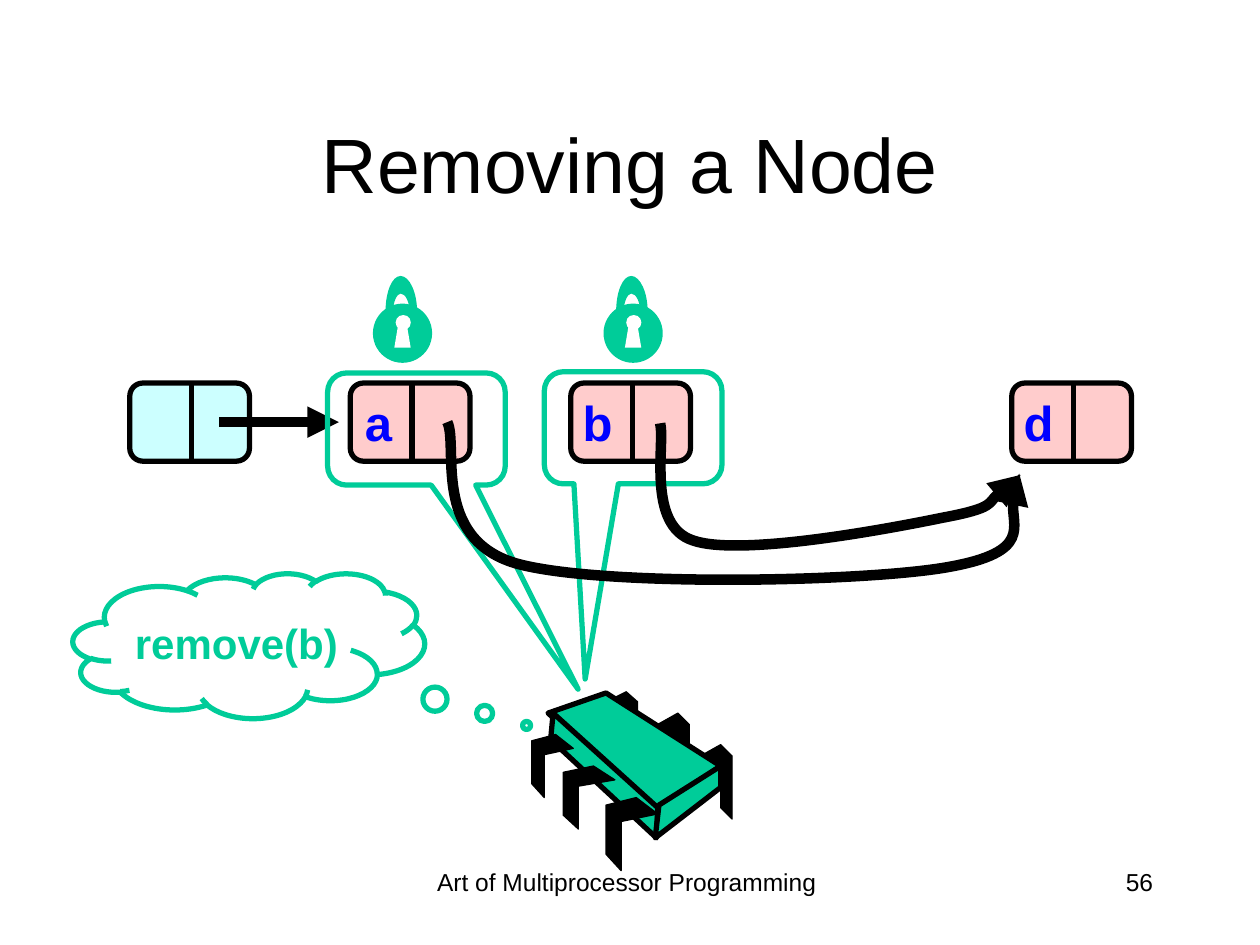
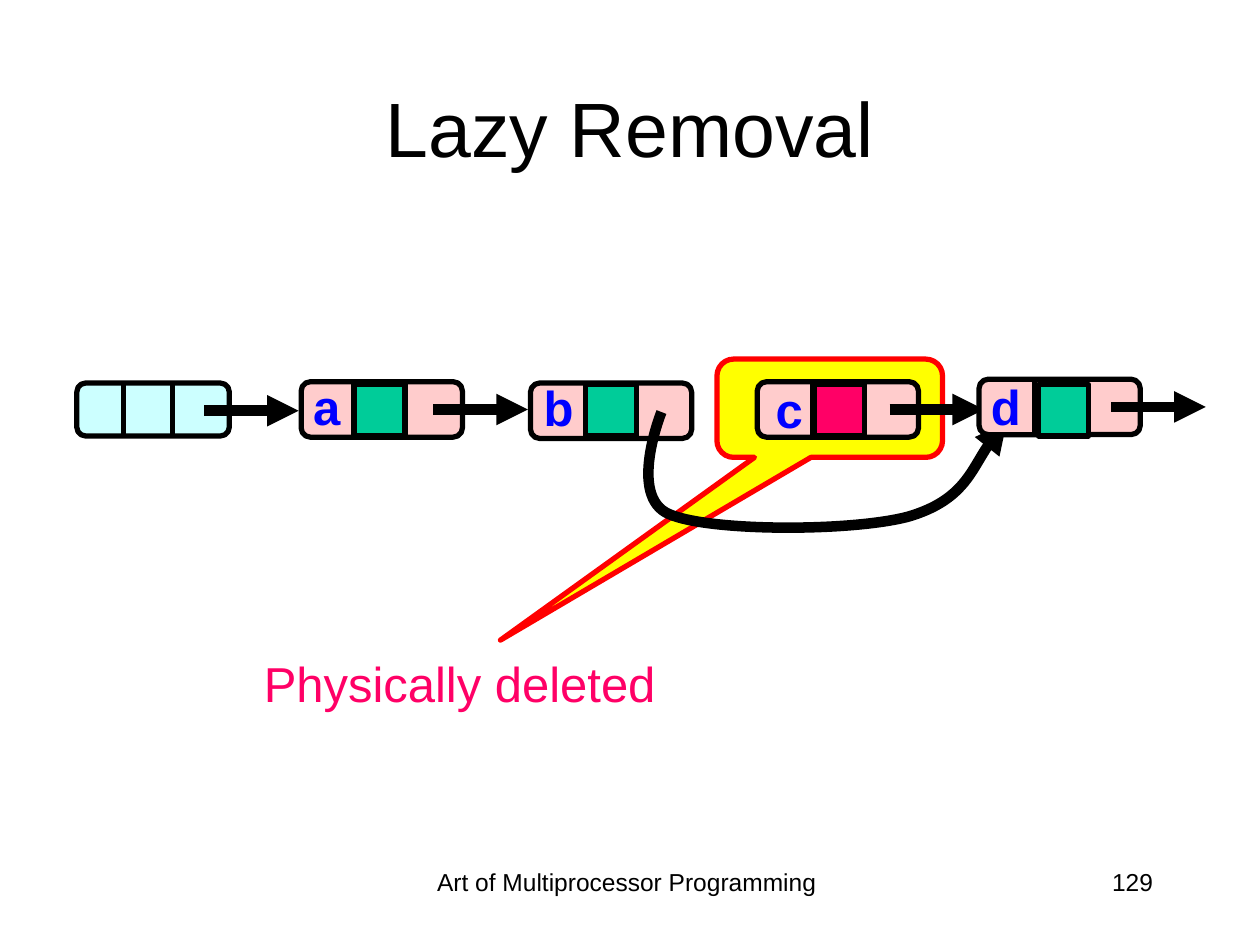
import lxml.etree
import pptx
import pptx.dml.color
import pptx.enum.shapes
import pptx.enum.text
import pptx.oxml.ns
import pptx.util

PX = 9144  # EMU in one px, 100 px to the inch
BLACK, WHITE, BLUE, PINK, CYAN = "000000", "FFFFFF", "0000FF", "FFCCCC", "CCFFFF"
GREEN, YELLOW, RED, MAGENTA = "00CC99", "FFFF00", "FF0000", "FF0066"

SHAPE = pptx.enum.shapes.MSO_SHAPE
STRAIGHT = pptx.enum.shapes.MSO_CONNECTOR.STRAIGHT
ALIGN = pptx.enum.text.PP_ALIGN
qn = pptx.oxml.ns.qn

TITLE = {"size": 44, "alignment": ALIGN.CENTER, "wrap": True}
FOOTER = {"size": 14, "alignment": ALIGN.CENTER, "wrap": True}
NUMBER = {**FOOTER, "alignment": ALIGN.RIGHT}
LABEL = {"size": 28, "color": BLUE, "bold": True, "alignment": ALIGN.RIGHT}
CAPTION = {"size": 28, "color": MAGENTA, "alignment": ALIGN.RIGHT}
THOUGHT = {"size": 24, "color": GREEN, "bold": True, "alignment": ALIGN.CENTER, "wrap": True}


def style(shape, fill=None, line=None, width=3, arrow=False, text=None, text_format=None):
    """Set fill, line, arrowhead and text; without a colour a part stays empty."""
    parts = [(shape.line.fill, line)]
    if hasattr(shape, "fill"):
        parts.append((shape.fill, fill))
    for part, color in parts:
        if color:
            part.solid()
            part.fore_color.rgb = pptx.dml.color.RGBColor.from_string(color)
        else:
            part.background()
    properties = shape._element.spPr
    if line:
        shape.line.width = pptx.util.Pt(width)
    if arrow:
        lxml.etree.SubElement(properties.find(qn("a:ln")), qn("a:tailEnd"), type="triangle")
    for effect in properties.findall(qn("a:effectLst")):
        properties.remove(effect)
    lxml.etree.SubElement(properties, qn("a:effectLst"))

    if text:
        values = {"color": BLACK, "bold": False, "wrap": False, **text_format}
        frame = shape.text_frame
        frame.text = text
        frame.word_wrap = values["wrap"]
        frame.auto_size = pptx.enum.text.MSO_AUTO_SIZE.NONE
        paragraph = frame.paragraphs[0]
        paragraph.alignment = values["alignment"]
        font = paragraph.runs[0].font
        font.color.rgb = pptx.dml.color.RGBColor.from_string(values["color"])
        for name, value in {"name": "Arial", "size": pptx.util.Pt(values["size"]),
                            "bold": values["bold"]}.items():
            setattr(font, name, value)


def draw_outline(shapes, points, curved=False, closed=True, **look):
    """Draw a polygon, or Bezier curves with three points for each segment."""
    builder = shapes.build_freeform(*points[0], scale=PX)
    builder.add_line_segments(points[1:], close=closed)
    shape = builder.convert_to_shape()
    if curved:
        segments = list(shape._element.iter(qn("a:lnTo")))
        for start in range(0, len(segments), 3):
            curve = lxml.etree.Element(qn("a:cubicBezTo"))
            segments[start].addprevious(curve)
            for segment in segments[start:start + 3]:
                curve.append(segment[0])
                segment.getparent().remove(segment)
    style(shape, **look)


presentation = pptx.Presentation()
presentation.slide_width, presentation.slide_height = 1000 * PX, 750 * PX

# Title and footer on both slides
slides = []
for title, title_top, number in [("Removing a Node", 67, "56"), ("Lazy Removal", 38, "129")]:
    slide = presentation.slides.add_slide(presentation.slide_layouts[5])
    heading = slide.shapes.title
    for name, value in {"left": 75, "top": title_top, "width": 850, "height": 125}.items():
        setattr(heading, name, value * PX)
    style(heading, text=title, text_format=TITLE)
    heading.text_frame.vertical_anchor = pptx.enum.text.MSO_ANCHOR.MIDDLE
    for left, width, text, text_format in [
        (310, 375, "Art of Multiprocessor Programming", FOOTER),
        (717, 208, number, NUMBER),
    ]:
        box = slide.shapes.add_textbox(left * PX, 683 * PX, width * PX, 50 * PX)
        style(box, text=text, text_format=text_format)
    slides.append(slide)

# Removing a Node: list nodes with one divider
shapes = slides[0].shapes
for left, label, fill in [(103, None, CYAN), (278, "a", PINK), (453, "b", PINK), (803, "d", PINK)]:
    node = shapes.add_shape(SHAPE.ROUNDED_RECTANGLE, left * PX, 304 * PX, 95 * PX, 62 * PX)
    style(node, fill, BLACK)
    middle = (left + 49) * PX
    style(shapes.add_connector(STRAIGHT, middle, 303 * PX, middle, 367 * PX), line=BLACK)
    if label:
        box = shapes.add_textbox((left - 1) * PX, 307 * PX, 44 * PX, 57 * PX)
        style(box, text=label, text_format=LABEL)
head_arrow = shapes.add_connector(STRAIGHT, 174 * PX, 335 * PX, 269 * PX, 335 * PX)
style(head_arrow, line=BLACK, width=6, arrow=True)

# Chip: back legs, body faces, front legs
chip = shapes.add_group_shape().shapes
back_leg = [(0, 0), (16, -9), (25, 0), (25, 50), (16, 41), (16, 8), (0, 16)]
front_leg = [(24, 0), (41, 13), (12, 19), (12, 58), (0, 45), (0, 6)]
faces = [
    [(481, 550), (572, 608), (521, 643), (435, 566)],
    [(439, 566), (522, 641), (521, 665), (437, 587)],
    [(572, 608), (572, 625), (520, 665), (523, 639)],
]
back_legs = [(556, 600, 1, 1), (522, 575, 1, 1), (481, 557, 1, 0.86)]
front_legs = [(481, 633, 1, 1), (447, 608, 1, 0.86), (422, 583, 0.8, 0.86)]
for leg, places in [(back_leg, back_legs), (front_leg, front_legs)]:
    for left, top, stretch_x, stretch_y in places:
        points = [(round(left + x * stretch_x), round(top + y * stretch_y)) for x, y in leg]
        draw_outline(chip, points, fill=BLACK, line=BLACK, width=0.75)
    if leg is back_leg:
        for face in faces:
            draw_outline(chip, face, fill=GREEN, line=BLACK)

# Callouts from the chip to the locked nodes, and its thought
for kind, left, top, width, height, adjustments, text in [
    (SHAPE.ROUNDED_RECTANGULAR_CALLOUT, 260, 296, 141, 89, (0.91, 2.32, 0.17), None),
    (SHAPE.ROUNDED_RECTANGULAR_CALLOUT, 432, 295, 141, 89, (-0.27, 2.24, 0.17), None),
    (SHAPE.CLOUD_CALLOUT, 58, 455, 279, 115, (0.79, 0.55), "remove(b)"),
]:
    callout = shapes.add_shape(kind, left * PX, top * PX, width * PX, height * PX)
    for index, value in enumerate(adjustments):
        callout.adjustments[index] = value
    style(callout, line=GREEN, text=text, text_format=THOUGHT)

# Padlocks
keyhole = [(313, 276), (316, 258), (323, 258), (326, 276)]
shackle = [(312, 247), (312, 240), (315, 233), (318, 233), (322, 233), (325, 240), (325, 247),
           (325, 247), (331, 247), (331, 247), (331, 232), (325, 219), (318, 219),
           (311, 219), (306, 232), (306, 247)]
for shift in (0, 183):
    lock = shapes.add_group_shape().shapes
    for left, top, size, fill in [(296, 241, 47, GREEN), (314, 250, 12, WHITE)]:
        circle = lock.add_shape(SHAPE.OVAL, (left + shift) * PX, top * PX, size * PX, size * PX)
        style(circle, fill)
    for outline, curved, fill in [(keyhole, False, WHITE), (shackle, True, GREEN)]:
        draw_outline(lock, [(x + shift, y) for x, y in outline], curved, fill=fill)

# Curved pointers from b and a to d
for points in [
    [(524, 336), (528, 352), (513, 417), (550, 429), (587, 442), (704, 420), (748, 411),
     (791, 403), (797, 384), (810, 377)],
    [(355, 335), (364, 353), (342, 427), (409, 447), (475, 466), (687, 462), (753, 450),
     (820, 438), (797, 391), (809, 376)],
]:
    draw_outline(shapes, points, True, False, line=BLACK, width=6, arrow=True)

# Lazy Removal: callout on the deleted node
shapes = slides[1].shapes
callout = shapes.add_shape(SHAPE.ROUNDED_RECTANGULAR_CALLOUT, 569 * PX, 285 * PX, 179 * PX, 78 * PX)
for index, value in enumerate((-1.46, 2.36, 0.17)):
    callout.adjustments[index] = value
style(callout, YELLOW, RED)

# List nodes with two dividers, a mark and a pointer
bypass = [(525, 327), (525, 327), (498, 394), (531, 408), (563, 422), (676, 422), (721, 410),
          (765, 397), (782, 350), (799, 335)]
for label, left, top, label_left, label_top, mark_left, mark in [
    (None, 61, 304, None, None, None, None),
    ("a", 239, 303, 236, 294, 281, GREEN),
    ("b", 421, 304, 421, 295, 465, GREEN),
    ("c", 601, 303, 603, 296, 646, MAGENTA),
    ("d", 777, 301, 776, 294, 824, GREEN),
]:
    if label:
        width, height, fill, dividers, arrow_start = 128, 44, PINK, (44, 83), 105
    else:
        width, height, fill, dividers, arrow_start = 121, 42, CYAN, (37, 76), 101
    node = shapes.add_shape(SHAPE.ROUNDED_RECTANGLE, left * PX, top * PX, width * PX, height * PX)
    style(node, fill, BLACK)
    for divider in dividers:
        x = (left + divider) * PX
        style(shapes.add_connector(STRAIGHT, x, top * PX, x, (top + 43) * PX), line=BLACK)
    if label:
        box = shapes.add_textbox(label_left * PX, label_top * PX, 44 * PX, 57 * PX)
        style(box, text=label, text_format=LABEL)
        square = shapes.add_shape(SHAPE.RECTANGLE, mark_left * PX, 305 * PX, 40 * PX, 41 * PX)
        style(square, mark, BLACK)
    if label == "b":
        draw_outline(shapes, bypass, True, False, line=BLACK, width=6, arrow=True)
    else:
        start, y = left + arrow_start, (top + 22) * PX
        pointer = shapes.add_connector(STRAIGHT, start * PX, y, (start + 75) * PX, y)
        style(pointer, line=BLACK, width=6, arrow=True)

# Caption of the callout
caption = shapes.add_textbox(199 * PX, 514 * PX, 331 * PX, 57 * PX)
style(caption, text="Physically deleted", text_format=CAPTION)

presentation.save("out.pptx")
